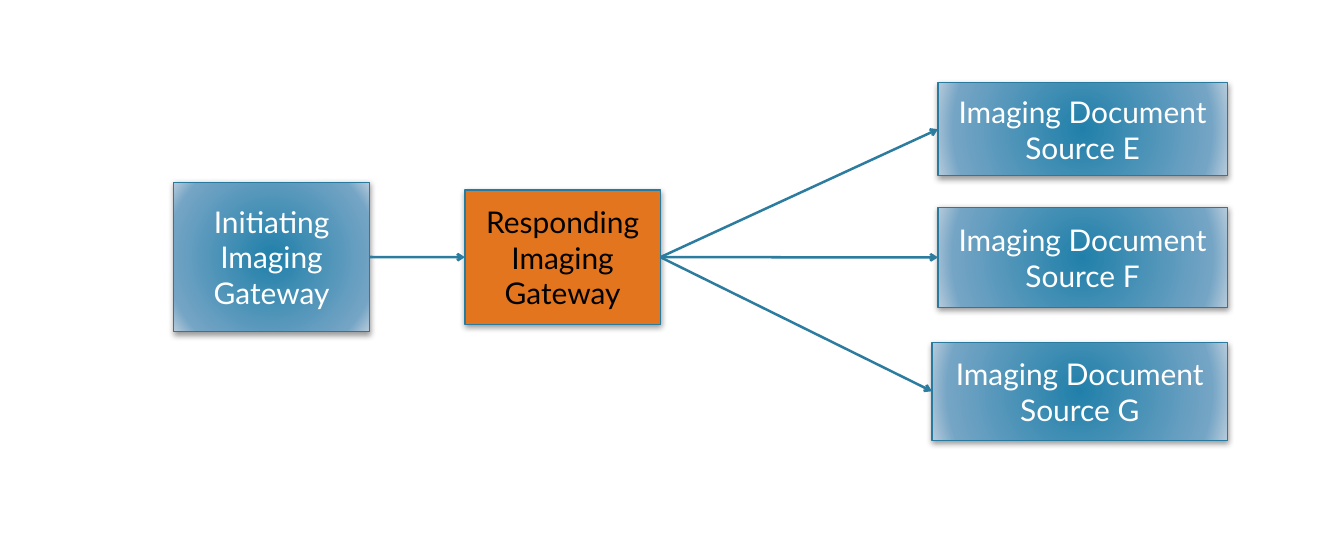
import pptx
import pptx.dml.color
import pptx.enum.shapes
import pptx.enum.text
import pptx.oxml
import pptx.oxml.ns
import pptx.util

Cm = pptx.util.Cm
Pt = pptx.util.Pt
LEFT_SITE, RIGHT_SITE = 1, 3
GLOW = [(0, "2180AA"), (85, "75A5C5"), (100, "B8CCDC")]


def color(value):
    return pptx.dml.color.RGBColor.from_string(value)


def drawing_xml(markup):
    head, rest = markup.split(" ", 1)
    namespace = pptx.oxml.ns.nsdecls("a")
    return pptx.oxml.parse_xml(f"{head} {namespace} {rest}")


def drawing_child(shape, tag):
    return shape.element.spPr.find(pptx.oxml.ns.qn(tag))


class Diagram:
    font_format = {"name": "Lato", "size": Pt(24)}
    frame_format = {
        "word_wrap": True,
        "vertical_anchor": pptx.enum.text.MSO_ANCHOR.MIDDLE,
    }

    def __init__(self, slide):
        self.slide = slide

    def apply(self, target, values):
        for name, value in values.items():
            setattr(target, name, value)

    def line(self, shape, value, width):
        shape.line.color.rgb = color(value)
        shape.line.width = Pt(width)

    def radial_fill(self, shape):
        shape.fill.gradient()
        stops = "".join(
            f'<a:gs pos="{place * 1000}"><a:srgbClr val="{value}"/></a:gs>'
            for place, value in GLOW
        )
        gradient = drawing_xml(
            f'<a:gradFill rotWithShape="1"><a:gsLst>{stops}</a:gsLst>'
            '<a:path path="circle"><a:fillToRect l="50000" t="50000" '
            'r="50000" b="50000"/></a:path></a:gradFill>'
        )
        shape.element.spPr.replace(drawing_child(shape, "a:gradFill"), gradient)

    def shadow(self, shape):
        shape.shadow.inherit = False
        drawing_child(shape, "a:effectLst").append(drawing_xml(
            f'<a:outerShdw blurRad="{Pt(5)}" dist="{Pt(2)}" dir="5400000" '
            'rotWithShape="0"><a:srgbClr val="000000">'
            '<a:alpha val="40000"/></a:srgbClr></a:outerShdw>'
        ))

    def box(self, text, bounds, fill=None, text_color="FFFFFF"):
        box = self.slide.shapes.add_shape(
            pptx.enum.shapes.MSO_SHAPE.RECTANGLE, *map(Cm, bounds)
        )
        if fill:
            box.fill.solid()
            box.fill.fore_color.rgb = color(fill)
        else:
            self.radial_fill(box)
        self.line(box, "287A9E", 1)
        self.shadow(box)
        self.apply(box.text_frame, self.frame_format)
        para = box.text_frame.paragraphs[0]
        para.alignment = pptx.enum.text.PP_ALIGN.CENTER
        span = para.add_run()
        span.text = text
        self.apply(span.font, self.font_format)
        span.font.color.rgb = color(text_color)
        return box

    def arrow(self, start, end):
        arrow = self.slide.shapes.add_connector(
            pptx.enum.shapes.MSO_CONNECTOR.STRAIGHT, 0, 0, 0, 0
        )
        arrow.begin_connect(start, RIGHT_SITE)
        arrow.end_connect(end, LEFT_SITE)
        self.line(arrow, "2C7C9F", 2)
        drawing_child(arrow, "a:ln").append(
            drawing_xml('<a:tailEnd type="arrow"/>')
        )
        arrow.element.spPr.append(drawing_xml("<a:effectLst />"))


deck = pptx.Presentation()
deck.slide_width, deck.slide_height = Cm(38.1), Cm(15.24)
page = deck.slides.add_slide(deck.slide_layouts.get_by_name("Blank"))
diagram = Diagram(page)

responding = diagram.box(
    "Responding Imaging Gateway", (13.18, 5.38, 5.54, 3.81), "E2751D", "000000"
)
initiating = diagram.box("Initiating Imaging Gateway", (4.93, 5.16, 5.54, 4.24))
diagram.arrow(initiating, responding)

sources = {
    "E": (26.59, 2.34, 8.2, 2.64),
    "F": (26.59, 5.87, 8.2, 2.84),
    "G": (26.42, 9.7, 8.38, 2.77),
}
for letter, bounds in sources.items():
    source = diagram.box(f"Imaging Document Source {letter}", bounds)
    diagram.arrow(responding, source)

deck.save("out.pptx")
